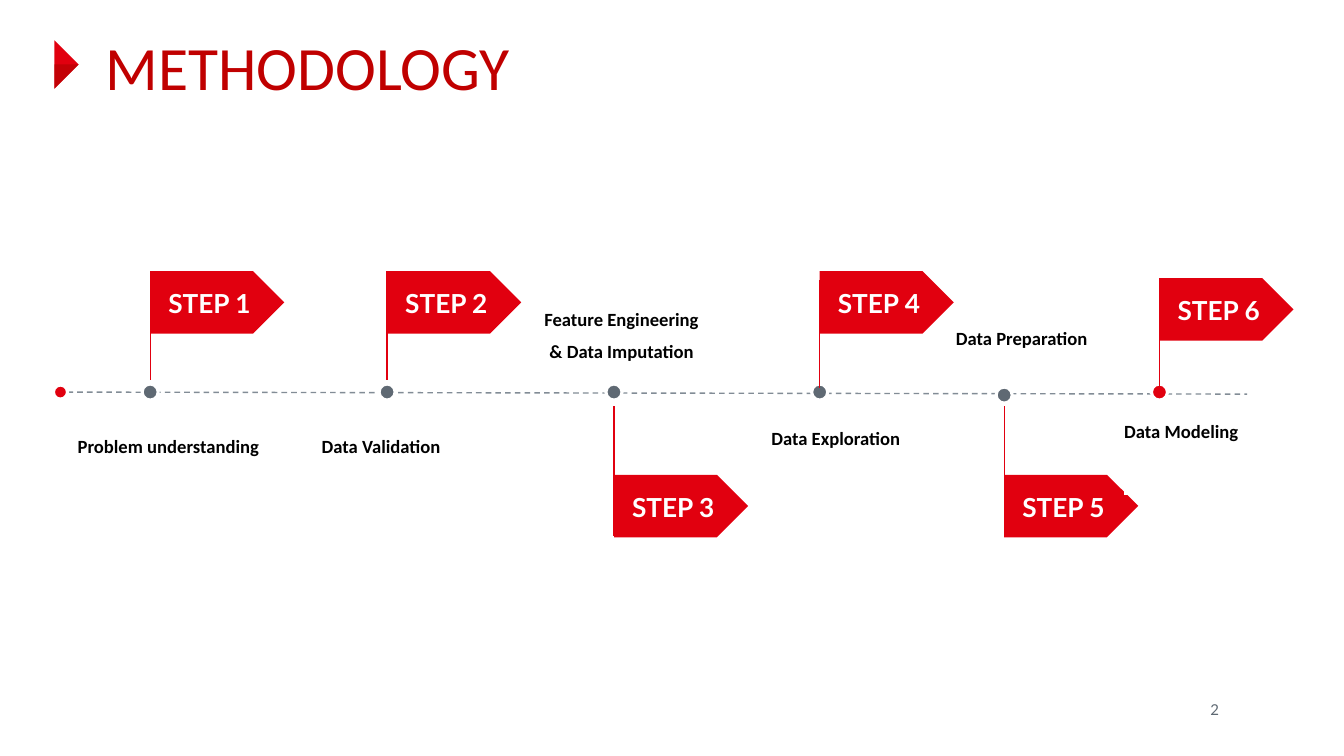
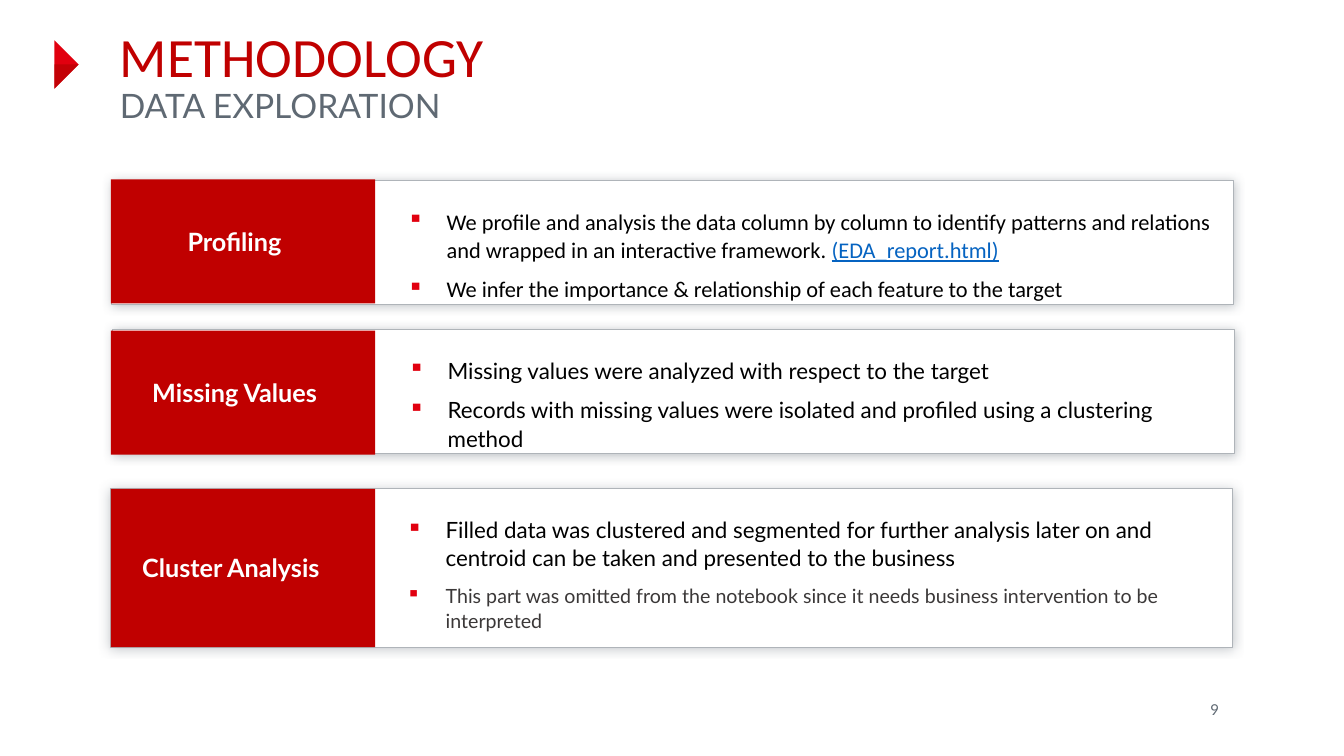
from lxml import etree
from pptx import Presentation
from pptx.dml.color import RGBColor
from pptx.enum import dml, shapes, text
from pptx.oxml import ns
from pptx.util import Inches, Pt

HUES = dict(red="E1000F", deep="C00000", dark="AF0200", slate="5F6973",
            dash="828C96", edge="AFB4B9", white="FFFFFF", black="000000",
            soft="3B3838", blue="0563C1")
HEAD, BODY = "Calibri", "Lato"
KIND = shapes.MSO_SHAPE
LEFT, MID, RIGHT = text.PP_ALIGN.LEFT, text.PP_ALIGN.CENTER, text.PP_ALIGN.RIGHT
TOP, CENTER = text.MSO_ANCHOR.TOP, text.MSO_ANCHOR.MIDDLE

# name, pole x, flag top, pole span, dot top, dot colour,
# caption box, caption align, caption lines
STEPS = [
    ("STEP 1", 1.49, 2.69, (2.69, 3.77), 3.81, "slate",
     (0.77, 4.3, 1.9, 0.7), LEFT, ["Problem understanding"]),
    ("STEP 2", 3.84, 2.69, (2.69, 3.77), 3.81, "slate",
     (3.19, 4.3, 1.69, 0.61), LEFT, ["Data Validation"]),
    ("STEP 3", 6.09, 4.71, (4.03, 5.32), 3.81, "slate",
     (5.32, 3.04, 1.69, 0.61), MID, ["Feature Engineering", "& Data Imputation"]),
    ("STEP 4", 8.13, 2.69, (2.78, 3.85), 3.81, "slate",
     (7.65, 4.22, 1.53, 0.7), LEFT, ["Data Exploration"]),
    ("STEP 5", 9.96, 4.71, (4.03, 5.32), 3.84, "slate",
     (9.48, 3.23, 1.38, 0.55), LEFT, ["Data Preparation"]),
    ("STEP 6", 11.5, 2.76, (2.76, 3.84), 3.81, "red",
     (11.15, 4.15, 1.17, 0.76), LEFT, ["Data Modeling"]),
]

# label, label indent, card left, card top, band top, height, font,
# bullets as (size, colour, text, underlined text)
CARDS = [
    ("Profiling", 0.76, 1.1, 1.79, 1.78, 1.23, HEAD, [
        (16, "black", "We profile and analysis the data column by column to identify "
         "patterns and relations and wrapped in an interactive framework. ",
         "(EDA_report.html)"),
        (16, "black", "We infer the importance & relationship of each feature "
         "to the target", "")]),
    ("Missing Values", 0.41, 1.11, 3.27, 3.28, 1.23, BODY, [
        (16, "black", "Missing values were analyzed with respect to the target", ""),
        (16, "black", "Records with missing values were isolated and profiled using "
         "a clustering method", "")]),
    ("Cluster Analysis", 0.31, 1.09, 4.85, 4.85, 1.57, BODY, [
        (16, "black", "Filled data was clustered and segmented for further analysis "
         "later on and centroid can be taken and presented to the business", ""),
        (14, "soft", "This part was omitted from the notebook since it needs business "
         "intervention to be interpreted", "")]),
]


def rgb(hue):
    return RGBColor.from_string(HUES[hue])


def box(at):
    return [Inches(n) for n in at]


def sub(node, tag, **attrs):
    return etree.SubElement(node, ns.qn(tag), attrs)


def style(font, size, hue, face=BODY, bold=False):
    font.size, font.name, font.bold = Pt(size), face, bold
    font.color.rgb = rgb(hue)


def paint(shape, hue, edge=None, width=1):
    shape.shadow.inherit = False
    shape.fill.solid()
    shape.fill.fore_color.rgb = rgb(hue)
    if edge:
        shape.line.color.rgb = rgb(edge)
        shape.line.width = Pt(width)
    else:
        shape.line.fill.background()
    return shape


def draw(slide, kind, at, hue, edge=None, width=1):
    return paint(slide.shapes.add_shape(kind, *box(at)), hue, edge, width)


def frame(shape, inset=(0, 0, 0, 0), anchor=TOP):
    area = shape.text_frame
    area.word_wrap = True
    area.vertical_anchor = anchor
    (area.margin_left, area.margin_top,
     area.margin_right, area.margin_bottom) = box(inset)
    return area


def fill(area, lines, align, space, after=0):
    """Write one paragraph per line and return the paragraphs."""
    paras = []
    for i, line in enumerate(lines):
        para = area.add_paragraph() if i else area.paragraphs[0]
        para.alignment, para.line_spacing = align, space
        para.space_after = Pt(after)
        para.add_run().text = line
        paras.append(para)
    return paras


def rule(slide, start, end, hue, dash=False):
    line = slide.shapes.add_connector(shapes.MSO_CONNECTOR.STRAIGHT,
                                      *box(start + end))
    line.line.color.rgb = rgb(hue)
    line.line.width = Pt(1)
    if dash:
        line.line.dash_style = dml.MSO_LINE.DASH
    sub(line._element.spPr, "a:effectLst")


def dot(slide, x, y, size, hue):
    draw(slide, KIND.OVAL, (x, y, size, size), hue, "white", 2.25)


def glow(shape):
    """Give the shape a soft shadow on all sides."""
    effects = shape._element.spPr.find(ns.qn("a:effectLst"))
    shade = sub(effects, "a:outerShdw", blurRad=str(Pt(8)), dist="0",
                algn="ctr", rotWithShape="0")
    sub(sub(shade, "a:srgbClr", val=HUES["slate"]), "a:alpha", val="40000")


def bullet(para):
    props = para._p.get_or_add_pPr()
    props.set("marL", str(Inches(0.39)))
    props.set("indent", str(-Inches(0.39)))
    sub(sub(props, "a:buClr"), "a:srgbClr", val=HUES["red"])
    sub(props, "a:buChar", char="▪")


def start(deck, number, at, size, subtitle=""):
    """Add a slide with the marker, title and page number."""
    slide = deck.slides.add_slide(deck.slide_layouts[6])
    draw(slide, KIND.ISOSCELES_TRIANGLE, (0.42, 0.52, 0.48, 0.24), "red").rotation = 90
    path = slide.shapes.build_freeform(*box((0.54, 0.64)))
    path.add_line_segments([box(p) for p in ((0.78, 0.64), (0.54, 0.88))])
    half = paint(path.convert_to_shape(), "dark")
    tint = half._element.spPr.find(ns.qn("a:solidFill"))[0]
    sub(tint, "a:alpha", val="60000")

    area = frame(slide.shapes.add_textbox(*box(at)), (0.1, 0.05, 0.1, 0.05), CENTER)
    para = fill(area, ["METHODOLOGY"], LEFT, 0.89)[0]
    style(para.runs[0].font, size, "deep", HEAD)
    if subtitle:
        para.add_line_break()
        run = para.add_run()
        run.text = subtitle
        style(run.font, 24, "slate")

    page = frame(slide.shapes.add_textbox(*box((10.55, 6.95, 1.54, 0.18))),
                 anchor=CENTER)
    style(fill(page, [str(number)], RIGHT, 1.0)[0].font, 10.7, "slate")
    return slide


def timeline(deck):
    slide = start(deck, 2, (0.95, 0.29, 11.14, 0.83), 44)
    rule(slide, (0.67, 3.89), (12.37, 3.91), "dash", True)
    dot(slide, 0.53, 3.82, 0.14, "red")
    for name, x, top, span, spot, hue, at, align, lines in STEPS:
        dot(slide, x - 0.08, spot, 0.16, hue)
        flag = draw(slide, KIND.PENTAGON, (x, top, 1.33, 0.62), "red")
        area = frame(flag, (0.13, 0.07, 0.13, 0.07), CENTER)
        style(fill(area, [name], MID, 1.05)[0].font, 18.7, "white", bold=True)
        rule(slide, (x, span[0]), (x, span[1]), "red")
        area = frame(draw(slide, KIND.RECTANGLE, at, "white"))
        for para in fill(area, lines, align, 1.05, 6):
            style(para.font, 13.3, "black", HEAD, True)


def explore(deck):
    slide = start(deck, 9, (1.09, 0.36, 11.14, 0.83), 39.6, "DATA EXPLORATION")
    for label, indent, x, y, top, high, face, points in CARDS:
        card = draw(slide, KIND.RECTANGLE, (x, y, 11.13, high), "white", "edge", 0.5)
        glow(card)
        area = frame(card, (2.94, 0.26, 0.21, 0.26))
        paras = fill(area, [point[2] for point in points], LEFT, 1.05, 8)
        for para, (size, hue, _, link) in zip(paras, points):
            bullet(para)
            style(para.font, size, hue, face)
            if link:
                run = para.add_run()
                run.text = link
                run.font.underline = True
                run.font.color.rgb = rgb("blue")
        band = draw(slide, KIND.RECTANGLE, (1.1, top, 2.62, high), "deep")
        area = frame(band, (indent, 0, 0, 0), CENTER)
        style(fill(area, [label], LEFT, Pt(21.3))[0].font, 18, "white", bold=True)


def main():
    deck = Presentation()
    deck.slide_width, deck.slide_height = Inches(13.33), Inches(7.5)
    timeline(deck)
    explore(deck)
    deck.save("out.pptx")


if __name__ == "__main__":
    main()
